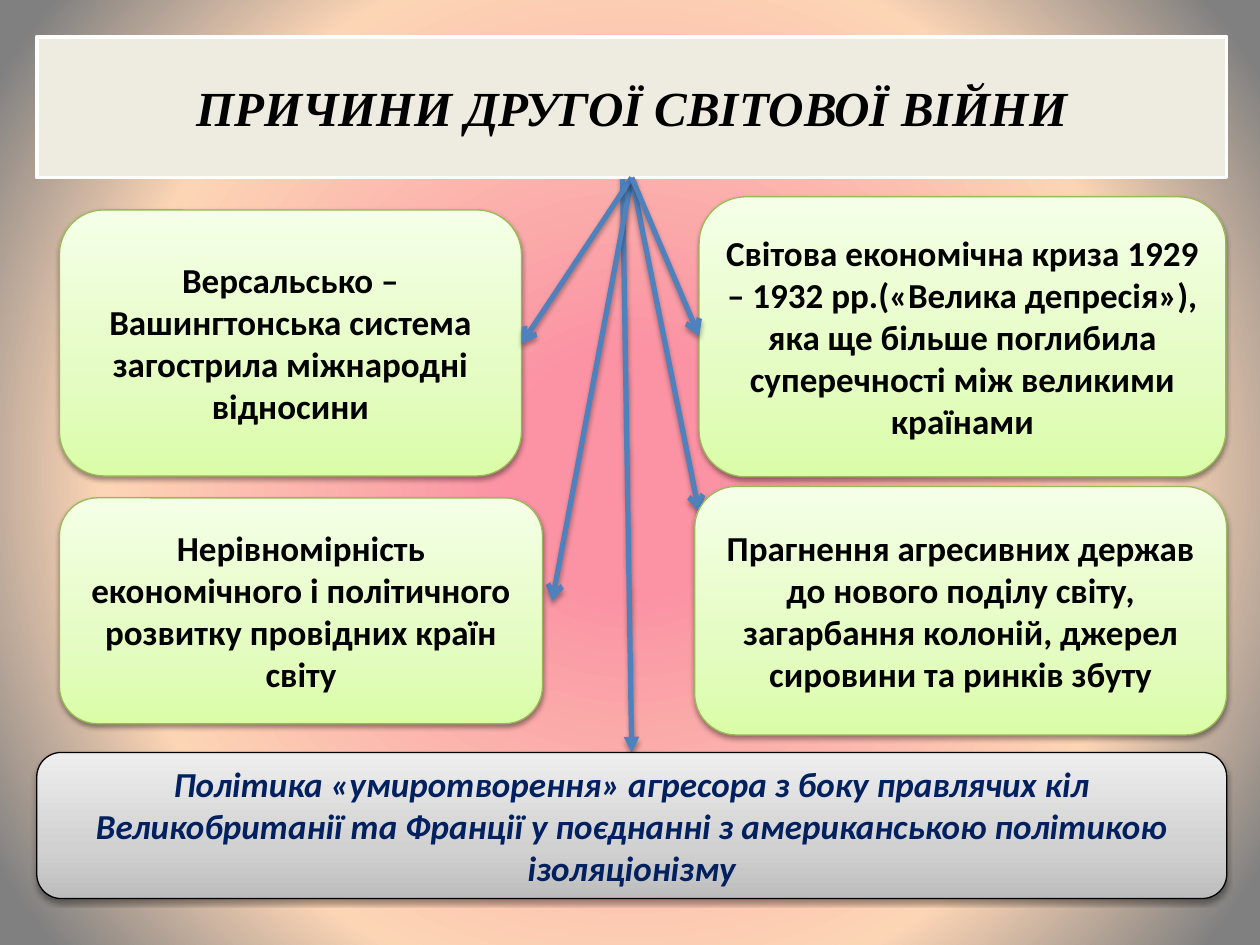
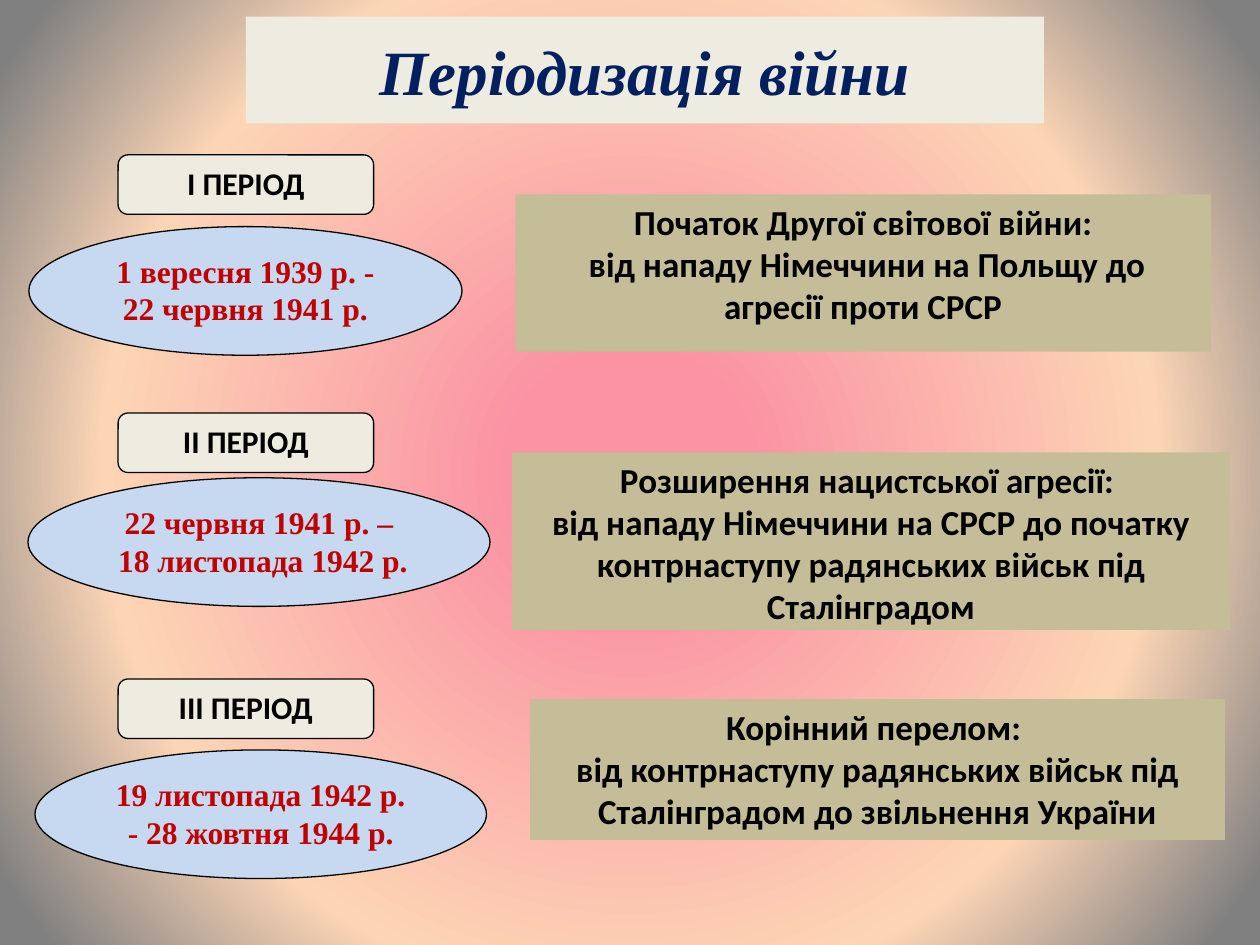
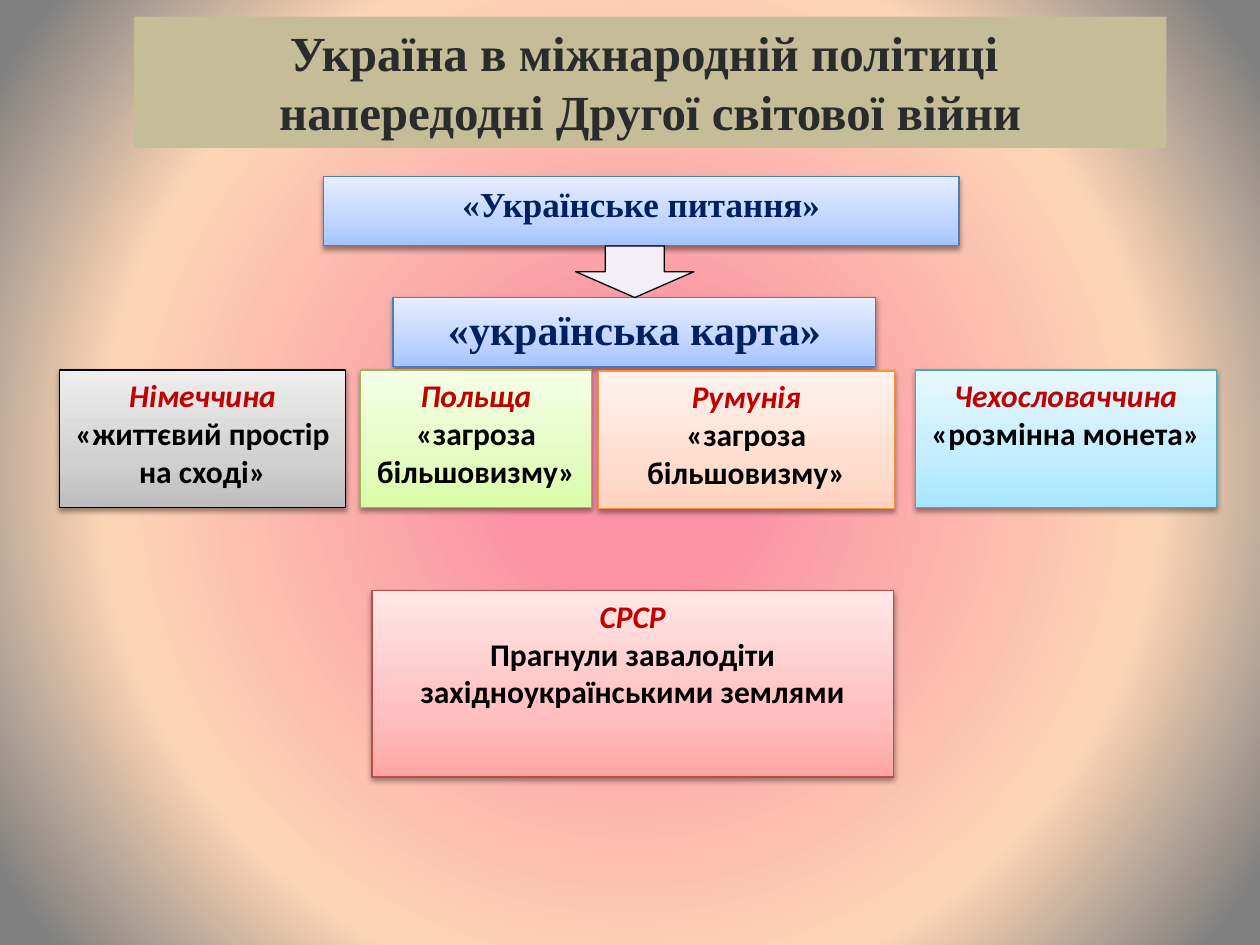
from lxml import etree
from pptx import Presentation
from pptx import util as u
from pptx.dml.color import RGBColor
from pptx.enum import shapes, text
from pptx.oxml.ns import qn

# Shared colours and fonts
SANS, SERIF = "Calibri", "Times New Roman"
BLACK, NAVY, RED, BLUE = "000000", "002060", "C00000", "4F81BD"
CREAM, KHAKI, SKY = "EEECE1", "C4BD97", "C6D9F1"
BACKDROP = [(15, "FB93A4", 100), (67, "FCD5B5", 60), (95, "808080", 53)]

# Raised boxes: outline, then gradient colours from bottom to top
GREEN_BOX = ("98B955", "DAFDA7", "E4FCC2", "F5FFE7")
GREY_BOX = (BLACK, "BDBDBD", "D1D1D1", "EEEEEE")
BLUE_BOX = ("4B7EBC", "A4C4FF", "BFD4FF", "E6EEFF")
ORANGE_BOX = ("F69240", "FFD2BD", "FFDED0", "FFF2ED")
CYAN_BOX = ("46AAC5", "A7E6FF", "C1EDFF", "E7F8FF")
RED_BOX = ("BF4C48", "FFA6A5", "FFC0BF", "FFE7E7")

RECT = shapes.MSO_SHAPE.RECTANGLE
ROUND = shapes.MSO_SHAPE.ROUNDED_RECTANGLE
OVAL = shapes.MSO_SHAPE.OVAL
TOP, MIDDLE = text.MSO_ANCHOR.TOP, text.MSO_ANCHOR.MIDDLE


def colour(value):
    return RGBColor.from_string(value)


def add_xml(parent, tag, **attributes):
    child = etree.SubElement(parent, qn(tag))
    for name, value in attributes.items():
        child.set(name, str(value))
    return child


def fill_gradient(gradient, stops, radial=False):
    """Give a gradFill element its (position, colour, opacity) stops."""
    for child in list(gradient):
        gradient.remove(child)
    stop_list = add_xml(gradient, "a:gsLst")
    for position, value, opacity in stops:
        stop = add_xml(stop_list, "a:gs", pos=position * 1000)
        paint = add_xml(stop, "a:srgbClr", val=value)
        if opacity < 100:
            add_xml(paint, "a:alpha", val=opacity * 1000)
    if radial:
        centre = add_xml(gradient, "a:path", path="circle")
        add_xml(centre, "a:fillToRect", l=50000, t=50000, r=50000, b=50000)
    else:
        add_xml(gradient, "a:lin", ang=270 * 60000, scaled=0)


def add_shadow(effects, distance, opacity):
    shadow = add_xml(effects, "a:outerShdw", blurRad=u.Pt(3.1), dist=u.Pt(distance),
                     dir=90 * 60000, rotWithShape=0)
    add_xml(add_xml(shadow, "a:srgbClr", val=BLACK), "a:alpha", val=opacity * 1000)


def write(box, lines, font=SANS, size=20, color=BLACK, bold=True, italic=False,
          anchor=TOP, first=None):
    """Write one centred paragraph a line; first overrides the opening line's format."""
    frame = box.text_frame
    frame.word_wrap = True
    frame.auto_size = text.MSO_AUTO_SIZE.NONE
    frame.vertical_anchor = anchor
    base = dict(font=font, size=size, color=color, bold=bold, italic=italic)
    for number, line in enumerate(lines):
        style = base | (first or {}) if number == 0 else base
        para = frame.paragraphs[0] if number == 0 else frame.add_paragraph()
        para.alignment = text.PP_ALIGN.CENTER
        para.space_before = u.Pt(0)
        span = para.add_run()
        span.text = line
        span.font.name = style["font"]
        span.font.size = u.Pt(style["size"])
        span.font.color.rgb = colour(style["color"])
        span.font.bold = style["bold"]
        span.font.italic = style["italic"]


class Page:
    """The deck's style and the slide being filled."""

    def __init__(self):
        self.deck = Presentation()
        self.deck.slide_width, self.deck.slide_height = u.Pt(720), u.Pt(540)
        master = self.deck.slide_master
        master.background.fill.gradient()
        gradient = master.element.find(".//" + qn("p:bgPr") + "/" + qn("a:gradFill"))
        fill_gradient(gradient, BACKDROP, radial=True)

    def start(self, layout):
        self.slide = self.deck.slides.add_slide(self.deck.slide_layouts.get_by_name(layout))

    def paint(self, box, fill, outline=None, width=0.75):
        box.fill.solid()
        box.fill.fore_color.rgb = colour(fill)
        if outline:
            box.line.color.rgb = colour(outline)
            box.line.width = u.Pt(width)
        else:
            box.line.fill.background()

    def placeholder(self, box, at, fill, lines, outline=None, width=0.75,
                    geometry="rect", **style):
        box.left, box.top, box.width, box.height = map(u.Pt, at)
        add_xml(add_xml(box.element.spPr, "a:prstGeom", prst=geometry), "a:avLst")
        self.paint(box, fill, outline, width)
        write(box, lines, **style)
        self.slide.shapes.element.append(box.element)  # bring to front

    def title(self, at, fill, lines, **options):
        options = dict(font=SERIF, anchor=MIDDLE) | options
        self.placeholder(self.slide.shapes.title, at, fill, lines, **options)

    def body(self, at, fill, lines, **options):
        box = self.slide.placeholders[1]
        self.placeholder(box, at, fill, lines, **options)
        for para in box.text_frame.paragraphs:
            properties = para._p.get_or_add_pPr()
            properties.set("marL", "0")
            properties.set("indent", "0")
            add_xml(properties, "a:buNone")

    def flat(self, kind, at, fill, lines=(), outline=None, **style):
        box = self.slide.shapes.add_shape(kind, *map(u.Pt, at))
        box.shadow.inherit = False
        self.paint(box, fill, outline)
        write(box, lines, **style)
        return box

    def raised(self, kind, at, scheme, lines, **style):
        outline, *shades = scheme
        box = self.flat(kind, at, shades[0], lines, outline, **style)
        box.fill.gradient()
        properties = box.element.spPr
        stops = [(place, shade, 100) for place, shade in zip((0, 35, 100), shades)]
        fill_gradient(properties.find(qn("a:gradFill")), stops)
        add_shadow(properties.find(qn("a:effectLst")), 1.6, 38)

    def arrow(self, start, end, head="arrow"):
        line = self.slide.shapes.add_connector(
            shapes.MSO_CONNECTOR.STRAIGHT, *map(u.Pt, (*start, *end)))
        line.line.color.rgb = colour(BLUE)
        line.line.width = u.Pt(3)
        properties = line._element.spPr
        add_xml(properties.find(qn("a:ln")), "a:tailEnd", type=head)
        add_shadow(add_xml(properties, "a:effectLst"), 1.8, 35)


def causes(page):
    page.start("Title Only")
    hub = (361, 101.5)

    # Arrows that run behind the boxes
    page.arrow((355.5, 86.5), (361, 430), "triangle")
    page.arrow(hub, (315.5, 343.5))
    page.arrow(hub, (399.5, 292.5))

    page.title((21, 21, 680, 80.5), CREAM, ["ПРИЧИНИ ДРУГОЇ СВІТОВОЇ ВІЙНИ"],
               outline="FFFFFF", width=2, geometry="roundRect", size=28, italic=True)

    # Four causes
    for at, cause in [
        ((34, 120, 264, 152),
         "Версальсько – Вашингтонська система загострила міжнародні відносини"),
        ((34, 284.5, 276, 129),
         "Нерівномірність економічного і політичного розвитку провідних країн світу"),
        ((399.5, 112.5, 301, 160),
         "Світова економічна криза 1929 – 1932 рр.(«Велика депресія»), яка ще більше "
         "поглибила суперечності між великими країнами"),
        ((397, 278, 304, 142),
         "Прагнення агресивних держав до нового поділу світу, загарбання колоній, "
         "джерел сировини та ринків збуту"),
    ]:
        page.raised(ROUND, at, GREEN_BOX, [cause], anchor=MIDDLE)

    # Arrows to the upper boxes
    page.arrow(hub, (298, 196.5))
    page.arrow(hub, (399.5, 192))

    page.raised(ROUND, (21, 430, 680, 83.5), GREY_BOX,
                ["Політика «умиротворення» агресора з боку правлячих кіл Великобританії "
                 "та Франції у поєднанні з американською політикою ізоляціонізму"],
                color=NAVY, italic=True, anchor=MIDDLE)


def periods(page):
    page.start("Title and Content")
    page.title((140.5, 9.5, 456, 61), CREAM, ["Періодизація війни"],
               size=36, color=NAVY, italic=True)

    # What each period brought
    page.body((294.5, 111, 397.5, 90), KHAKI,
              ["Початок Другої світової війни:",
               " від нападу Німеччини на Польщу до агресії проти СРСР"])
    page.flat(RECT, (292.5, 258.5, 410.5, 101.5), KHAKI,
              ["Розширення нацистської агресії: ",
               "від нападу Німеччини на СРСР до початку контрнаступу радянських військ "
               "під Сталінградом"])
    page.flat(RECT, (303, 399.5, 397, 80.5), KHAKI,
              ["Корінний перелом: ",
               "від контрнаступу радянських військ під Сталінградом до звільнення України"])

    # Period labels and dates
    for label, label_top, left, top, width, dates in [
        ("І ПЕРІОД", 88.5, 16.5, 129.5, 247.5, ["1 вересня 1939 р. - 22 червня 1941 р."]),
        ("ІІ ПЕРІОД", 236, 16, 273, 264, ["22 червня 1941 р. –", " 18 листопада 1942 р."]),
        ("ІІІ ПЕРІОД", 388, 20, 428.5, 258, ["19 листопада 1942 р. - 28 жовтня 1944 р."]),
    ]:
        page.flat(ROUND, (67.5, label_top, 146, 34), CREAM, [label], BLACK, size=18)
        page.flat(OVAL, (left, top, width, 73.5), SKY, dates, BLACK,
                  font=SERIF, size=18, color=RED)


def ukraine(page):
    page.start("Title Only")
    page.title((76.5, 9.5, 590, 75), KHAKI,
               ["Україна в міжнародній політиці ", "напередодні Другої світової війни"],
               size=28, color="292B2C", anchor=TOP)

    # From the question to the card
    page.raised(RECT, (185, 101, 363, 39.5), BLUE_BOX, ["«Українське питання»"],
                font=SERIF, color=NAVY)
    page.raised(RECT, (224.5, 170, 276, 39.5), BLUE_BOX, ["«українська карта»"],
                font=SERIF, size=24, color=NAVY)
    page.flat(shapes.MSO_SHAPE.DOWN_ARROW, (329, 140.5, 67.5, 29.5), "F2F0F6", outline=BLACK)

    # Countries and their interests
    for at, scheme, country, interest in [
        ((34, 211.5, 163.5, 78.5), GREY_BOX, "Німеччина", "«життєвий простір на сході»"),
        ((206, 211.5, 132, 78.5), GREEN_BOX, "Польща", "«загроза більшовизму»"),
        ((342, 212, 169, 78.5), ORANGE_BOX, "Румунія", "«загроза більшовизму»"),
        ((523, 211.5, 172, 78.5), CYAN_BOX, "Чехословаччина", "«розмінна монета»"),
        ((212.5, 337.5, 298, 106.5), RED_BOX, "СРСР",
         "Прагнули завалодіти західноукраїнськими землями"),
    ]:
        page.raised(RECT, at, scheme, [country, interest], size=18,
                    first=dict(color=RED, italic=True))


def main():
    page = Page()
    causes(page)
    periods(page)
    ukraine(page)
    page.deck.save("out.pptx")


if __name__ == "__main__":
    main()
